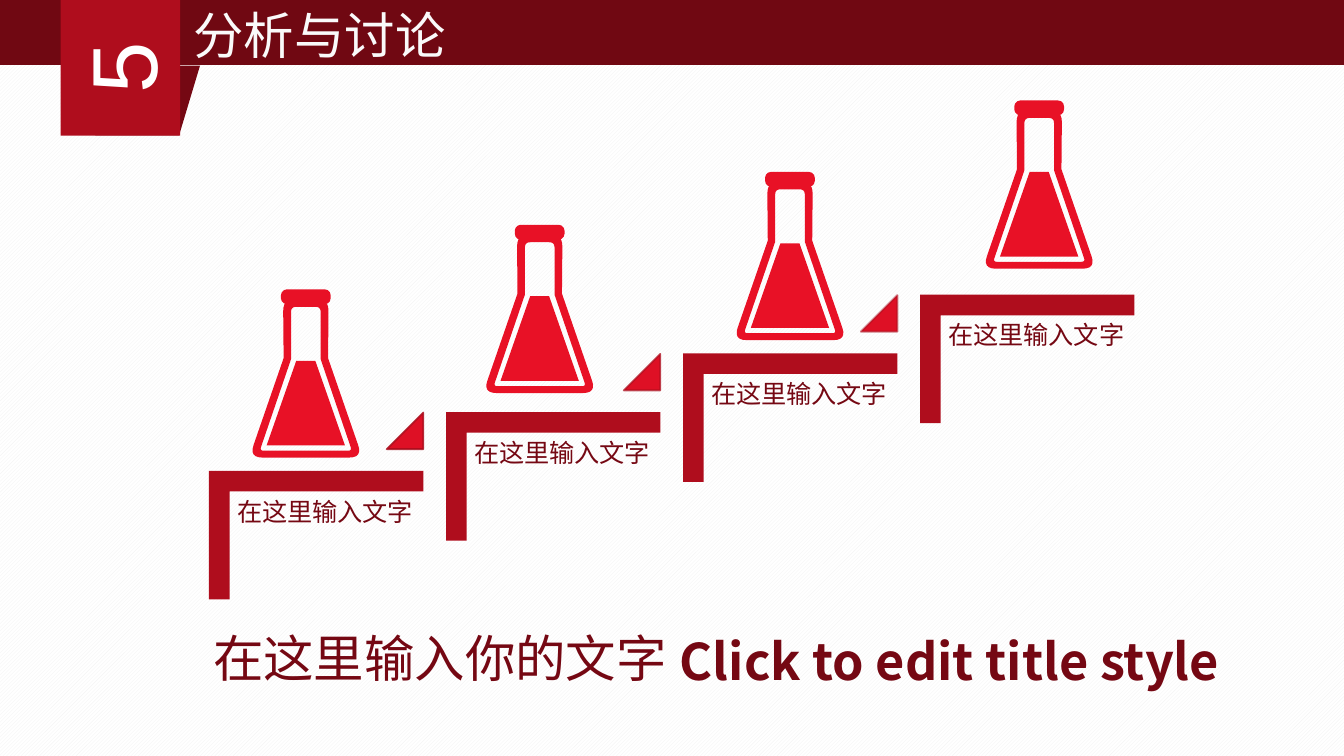
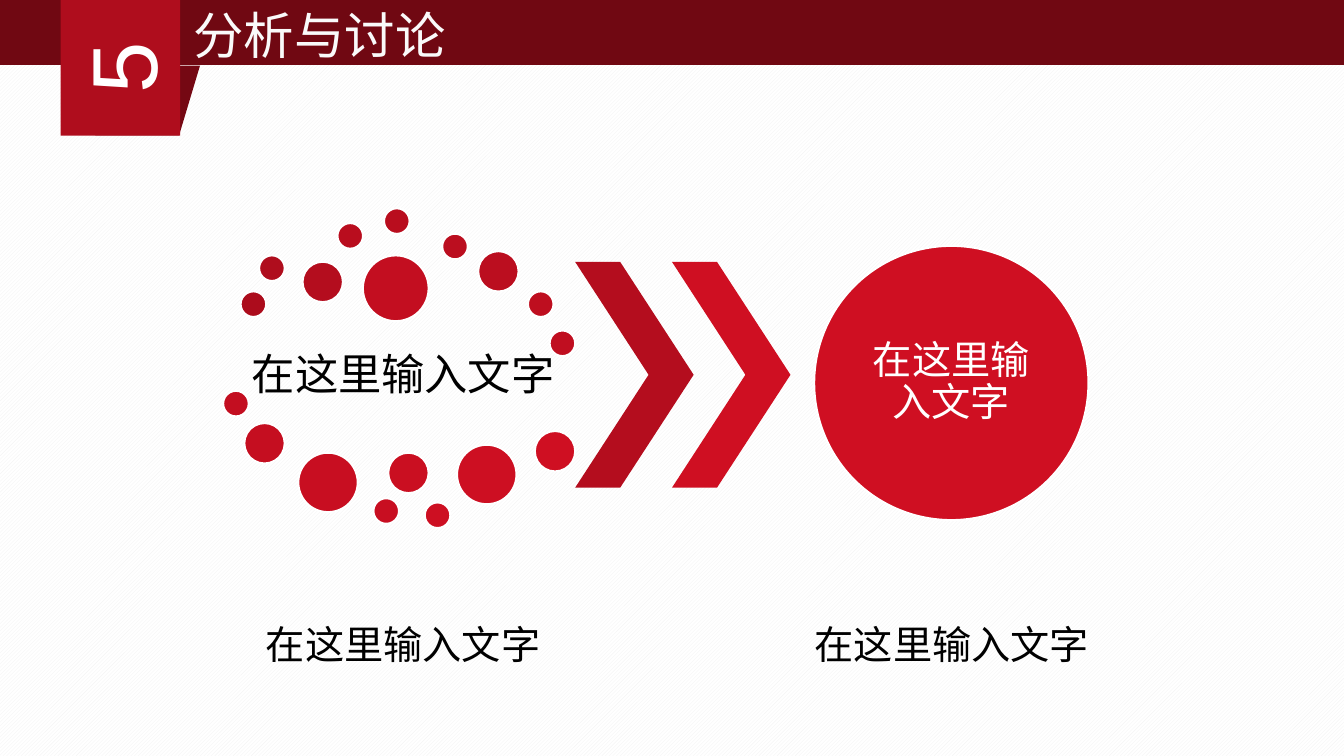
from math import hypot

from lxml import etree
from pptx import Presentation
from pptx.dml.color import RGBColor
from pptx.enum.dml import MSO_PATTERN
from pptx.enum.shapes import MSO_SHAPE
from pptx.enum.text import MSO_ANCHOR, MSO_AUTO_SIZE, PP_ALIGN
from pptx.oxml.ns import qn
from pptx.util import Cm, Pt

LEFT, CENTER = PP_ALIGN.LEFT, PP_ALIGN.CENTER
TOP, MIDDLE = MSO_ANCHOR.TOP, MSO_ANCHOR.MIDDLE
RECT, OVAL = MSO_SHAPE.RECTANGLE, MSO_SHAPE.OVAL

LATIN, CJK = "Arial", "Noto Sans CJK SC"
WHITE, BLACK = "FFFFFF", "000000"
BAND, DARK, CRIMSON, BRIGHT = "700812", "750813", "AF0D1D", "E81126"
DEEP_RED, MID_RED = "B40D1E", "CF0F22"

# Content; all lengths are in centimetres
TITLE, NUMBER = "分析与讨论", "5"
PROMPT = "在这里输入文字"
CLOSING = "在这里输入你的文字"
CLOSING_EN = "Click to edit title style"

STEPS = [PROMPT] * 4
STEP_X, STEP_Y, STEP_DX, STEP_DY = 3.95, 8.9, 4.48, -1.11
STEP_W, STEP_H, STEP_THICK = 4.05, 2.43, 0.39
TRIANGLE_OPACITY = [82, 68, 55]

FLASKS = [(19.64, 1.9), (14.93, 3.25), (10.2, 4.25), (5.78, 5.47)]  # centre, top
# Right half of each flask outline: distance from the axis, depth, corner radius
GLASS_OUTER = [(0.43, 0.18, 0.23), (0.42, 1.3, 0), (1.07, 3.18, 0.25)]
GLASS_INNER = [(0.28, 0.33, 0.1), (0.28, 1.32, 0), (0.87, 3.05, 0.07)]
LIQUID = [(0.18, 1.35, 0), (0.74, 2.95, 0)]

S, M, L, XL = 0.48, 0.76, 1.12, 1.24
DOTS = [
    (4.55, 5.51, S, "AC0C1C"), (4.9, 4.83, S, CRIMSON),
    (5.72, 4.95, M, DEEP_RED), (6.38, 4.22, S, "B90D1E"),
    (7.26, 3.94, S, "B90D1E"), (8.36, 4.42, S, "BB0E1F"),
    (9.04, 4.75, M, "BB0E1F"), (9.98, 5.51, S, "BE0E1F"),
    (10.39, 6.25, S, "C00E20"), (6.86, 4.83, XL, "C30E20"),
    (4.22, 7.39, S, "C30E20"), (4.62, 8, M, "C50E20"),
    (5.64, 8.56, L, "C80E21"), (7.06, 9.42, S, "C80E21"),
    (7.34, 8.56, M, "CA0F21"), (8.03, 9.5, S, "CD0F22"),
    (8.64, 8.41, L, "CD0F22"), (10.11, 8.15, M, MID_RED),
    (15.39, 4.65, 5.18, MID_RED),
]
CHEVRONS = [(10.87, DEEP_RED), (12.7, MID_RED)]
CAPTIONS = [  # box, size, colour, inset
    ((4.57, 6.12, 6.1, 2.01), 23.2, BLACK, 0.08),
    ((4.57, 10.34, 6.1, 3.76), 21, BLACK, 0.08),
    ((16.15, 5.41, 3.66, 3.66), 21, WHITE, 0),
    ((14.94, 10.34, 6.1, 3.76), 21, BLACK, 0.08),
]


def color(value):
    return RGBColor.from_string(value)


def paint(sp, fill, line=None):
    sp.shadow.inherit = False
    sp.fill.solid()
    sp.fill.fore_color.rgb = color(fill)
    if line:
        sp.line.color.rgb = color(line)
        sp.line.width = Pt(1)
    else:
        sp.line.fill.background()
    return sp


def add_preset(s, kind, box, fill, line=None, adjust=None):
    sp = s.shapes.add_shape(kind, *map(Cm, box))
    if adjust is not None:
        sp.adjustments[0] = adjust
    return paint(sp, fill, line)


def add_outline(s, contours, fill):
    """Draw closed contours as one shape; an inner contour makes a hole."""
    contours = [[(Cm(x), Cm(y)) for x, y in c] for c in contours]
    builder = s.shapes.build_freeform(*contours[0][0])
    for i, (start, *rest) in enumerate(contours):
        if i:
            builder.move_to(*start)
        builder.add_line_segments(rest, close=True)
    return paint(builder.convert_to_shape(), fill)


def write(sp, text, size, fill, font=CJK, align=LEFT, anchor=TOP,
          spacing=None, insets=None, bold=False):
    tf = sp.text_frame
    tf.word_wrap = True
    tf.auto_size = MSO_AUTO_SIZE.NONE
    tf.vertical_anchor = anchor
    if insets is not None:
        tf.margin_left = tf.margin_right = Cm(insets)
        tf.margin_top = tf.margin_bottom = Cm(insets)
    p = tf.paragraphs[0]
    p.text = text
    p.alignment = align
    if spacing:
        p.line_spacing = spacing
    p.font.name = font
    p.font.size = Pt(size)
    p.font.bold = bold
    p.font.color.rgb = color(fill)


def add_text(s, box, *args, **style):
    write(s.shapes.add_textbox(*map(Cm, box)), *args, **style)


def add_base_slide(prs):
    """Add a slide with the hatched background, title band and number ribbon."""
    s = prs.slides.add_slide(prs.slide_layouts[5])
    fill = s.background.fill
    fill.patterned()
    fill.pattern = MSO_PATTERN.LIGHT_UPWARD_DIAGONAL
    fill.fore_color.rgb = color("F2F2F2")
    fill.back_color.rgb = color(WHITE)

    title = s.shapes.title
    band = add_preset(s, RECT, (0, -0.02, 25.4, 1.25), BAND)
    title._element.addprevious(band._element)
    title.left, title.top, title.width, title.height = map(
        Cm, (2.79, -0.05, 6.5, 1.42))
    write(title, TITLE, 27, "FAFAFA", LATIN, CENTER)

    fold = add_preset(s, MSO_SHAPE.FLOWCHART_DATA, (1.8, 1.24, 1.98, 1.32), DARK)
    fold.rotation = 180
    ribbon = add_preset(s, RECT, (0.99, 0.15, 2.57, 2.26), CRIMSON)
    ribbon.rotation = 270
    write(ribbon, NUMBER, 49.5, WHITE, LATIN, CENTER, MIDDLE)
    return s


def round_corners(corners, pieces=6):
    """Replace every (x, y, radius) corner by points on a smooth curve."""
    points = []
    for i, (x, y, radius) in enumerate(corners):
        if not radius:
            points.append((x, y))
            continue
        ends = []
        for nx, ny, _ in (corners[i - 1], corners[(i + 1) % len(corners)]):
            share = radius / hypot(nx - x, ny - y)
            ends.append((x + (nx - x) * share, y + (ny - y) * share))
        (ax, ay), (bx, by) = ends
        for k in range(pieces + 1):
            t = k / pieces
            a, c, b = (1 - t) ** 2, 2 * t * (1 - t), t ** 2
            points.append((a * ax + c * x + b * bx, a * ay + c * y + b * by))
    return points


def mirror(half, cx, top):
    """Complete a right half outline and place it on its axis."""
    corners = half + [(-x, y, r) for x, y, r in reversed(half)]
    return [(cx + x, top + y) for x, y in round_corners(corners)]


def add_flask(s, cx, top):
    add_outline(s, [mirror(GLASS_OUTER, cx, top), mirror(GLASS_INNER, cx, top)],
                BRIGHT)
    add_preset(s, MSO_SHAPE.ROUNDED_RECTANGLE, (cx - 0.47, top, 0.94, 0.28),
               BRIGHT, adjust=0.4)
    add_outline(s, [mirror(LIQUID, cx, top)], BRIGHT)


def add_step(s, i, text):
    x, y = STEP_X + i * STEP_DX, STEP_Y + i * STEP_DY
    inner_x, inner_y = x + STEP_THICK, y + STEP_THICK
    right, bottom = x + STEP_W, y + STEP_H
    add_outline(s, [[(x, y), (right, y), (right, inner_y), (inner_x, inner_y),
                     (inner_x, bottom), (x, bottom)]], CRIMSON)
    add_text(s, (inner_x, inner_y, 3.66, 3.2), text, 13.5, DARK,
             spacing=0.9, insets=0.15)
    if i < len(TRIANGLE_OPACITY):
        sp = add_preset(s, MSO_SHAPE.ISOSCELES_TRIANGLE,
                        (x + 3.36, y - 1.1, 0.69, 0.69), "DE1025", "A70C1B", 1)
        rgb = sp._element.spPr.find(qn("a:ln")).find(".//" + qn("a:srgbClr"))
        etree.SubElement(rgb, qn("a:alpha"), val=str(TRIANGLE_OPACITY[i] * 1000))


def build_steps(prs):
    s = add_base_slide(prs)
    for i, text in enumerate(STEPS):
        add_step(s, i, text)
    add_text(s, (12.6, 11.79, 16.26, 2.18), CLOSING_EN, 27, DARK, bold=True)
    add_text(s, (3.78, 11.73, 13.61, 1.42), CLOSING, 27, DARK, LATIN)
    for cx, top in FLASKS:
        add_flask(s, cx, top)


def build_convergence(prs):
    s = add_base_slide(prs)
    for x, y, size, fill in DOTS:
        add_preset(s, OVAL, (x, y, size, size), fill, WHITE)
    for x, fill in CHEVRONS:
        add_preset(s, MSO_SHAPE.CHEVRON, (x, 4.95, 2.24, 4.27), fill, adjust=0.62)
    for box, size, fill, insets in CAPTIONS:
        add_text(s, box, PROMPT, size, fill, align=CENTER, anchor=MIDDLE,
                 spacing=0.9, insets=insets)


def main():
    prs = Presentation()
    prs.slide_width, prs.slide_height = Cm(25.4), Cm(14.29)
    build_steps(prs)
    build_convergence(prs)
    prs.save("out.pptx")


if __name__ == "__main__":
    main()
